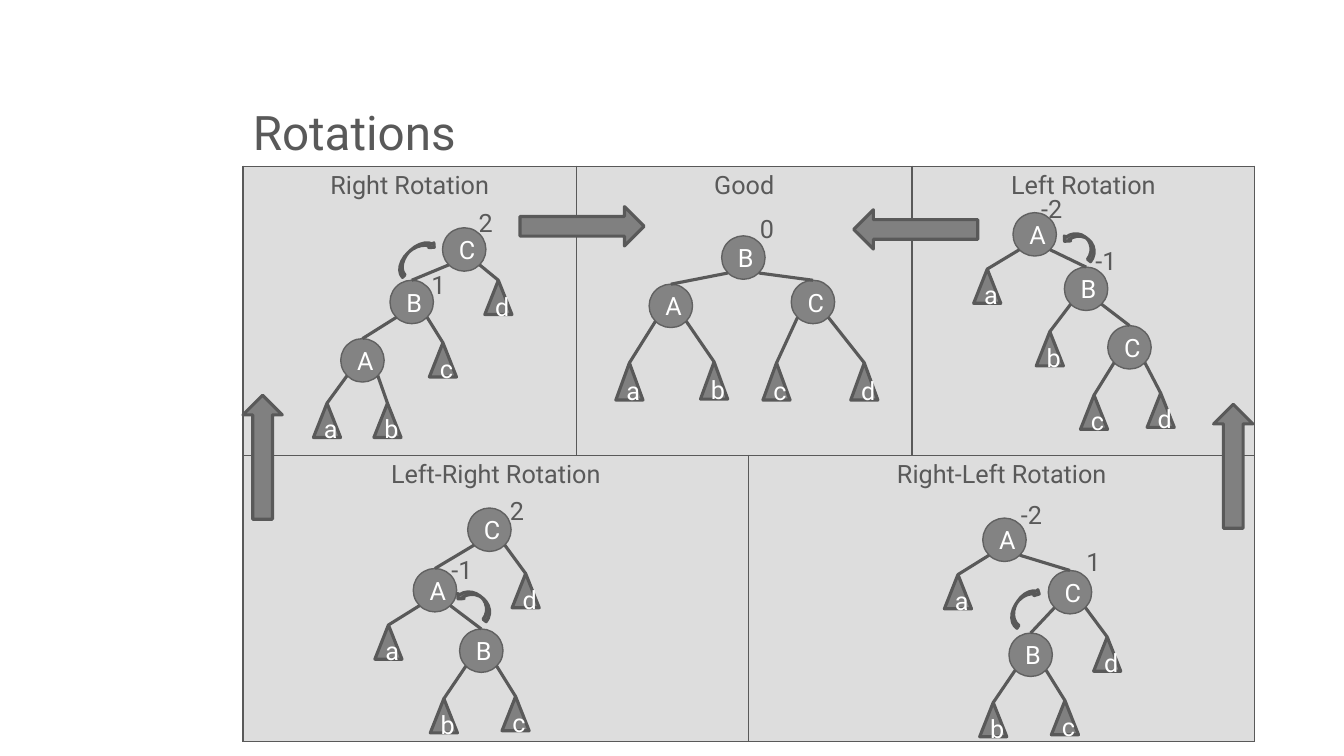
from lxml import etree
from pptx import Presentation
from pptx.dml.color import RGBColor
from pptx.enum.shapes import MSO_CONNECTOR, MSO_SHAPE
from pptx.enum.text import MSO_ANCHOR, PP_ALIGN
from pptx.oxml.ns import qn
from pptx.util import Pt

DARK = RGBColor(0x59, 0x59, 0x59)
NODE = RGBColor(0x83, 0x83, 0x83)
NODE_LINE = RGBColor(0x61, 0x61, 0x61)
GRAY = RGBColor(0x80, 0x80, 0x80)
PANEL = RGBColor(0xDD, 0xDD, 0xDD)
WHITE = RGBColor(0xFF, 0xFF, 0xFF)
NODE_D, LEAF_W = 31, 19.4
NODE_EDGE = 4.5  # inset of the lower diagonal points of a node

prs = Presentation()
prs.slide_width, prs.slide_height = Pt(960), Pt(540)
slide = prs.slides.add_slide(prs.slide_layouts[6])
shapes = slide.shapes


def write(tf, text, color=DARK, align=PP_ALIGN.LEFT, size=18):
    p = tf.paragraphs[0]
    p.alignment = align
    r = p.add_run()
    r.text = text
    r.font.name, r.font.size, r.font.color.rgb = "Roboto", Pt(size), color
    return p


def add_filled(kind, x, y, w, h, fill=GRAY, line=DARK, weight=2.25):
    s = shapes.add_shape(kind, Pt(x), Pt(y), Pt(w), Pt(h))
    s.shadow.inherit = False
    s.fill.solid()
    s.fill.fore_color.rgb = fill
    s.line.color.rgb, s.line.width = line, Pt(weight)
    return s


# Title
tf = shapes.add_textbox(Pt(173.5), Pt(23.8), Pt(738), Pt(94.3)).text_frame
tf.word_wrap = True
tf.vertical_anchor = MSO_ANCHOR.BOTTOM
write(tf, "Rotations", size=34).line_spacing = 0.9

# Table of cases
COLS, ROWS = [238.3, 123.1, 116.6, 244.8], [206.6, 204.5]
table = shapes.add_table(2, 4, Pt(173.5), Pt(118.8),
                         Pt(sum(COLS)), Pt(sum(ROWS))).table
table.first_row = table.horz_banding = False
for col, width in zip(table.columns, COLS):
    col.width = Pt(width)
for row, height in zip(table.rows, ROWS):
    row.height = Pt(height)
for r, first, last in [(0, 1, 2), (1, 0, 1), (1, 2, 3)]:
    table.cell(r, first).merge(table.cell(r, last))
for r, c, heading in [(0, 0, "Right Rotation"), (0, 1, "Good"),
                      (0, 3, "Left Rotation"), (1, 0, "Left-Right Rotation"),
                      (1, 2, "Right-Left Rotation")]:
    write(table.cell(r, c).text_frame, heading, align=PP_ALIGN.CENTER)
for cell in table.iter_cells():
    tc_pr = cell._tc.get_or_add_tcPr()
    for side in ("a:lnL", "a:lnR", "a:lnT", "a:lnB"):
        ln = etree.SubElement(tc_pr, qn(side), w=str(Pt(1)))
        solid = etree.SubElement(ln, qn("a:solidFill"))
        etree.SubElement(solid, qn("a:srgbClr"), val=str(DARK))
    cell.fill.solid()
    cell.fill.fore_color.rgb = PANEL

# Trees: leaf height, then label: (parent, left, top); lower case is a subtree
TREES = [
    (24.5, {"A": (None, 723.6, 151.9), "B": ("A", 760.3, 190.8),
            "C": ("B", 791.3, 232.6), "a": ("A", 695.5, 192.2),
            "b": ("B", 740.2, 236.9), "c": ("C", 771.8, 282.2),
            "d": ("C", 819.4, 280.8)}),
    (24.5, {"C": (None, 316.1, 162.7), "B": ("C", 278.6, 200.2),
            "A": ("B", 243.4, 241.9), "a": ("A", 223.9, 288),
            "b": ("A", 267.1, 288), "c": ("B", 306.7, 244.8),
            "d": ("C", 346.3, 200.2)}),
    (26.6, {"B": (None, 515.5, 168.5), "A": ("B", 463.7, 203),
            "C": ("B", 565.2, 200.2), "a": ("A", 439.9, 259.2),
            "b": ("A", 500.4, 258.5), "c": ("C", 545, 259.2),
            "d": ("C", 607.7, 259.2)}),
    (24.5, {"C": (None, 334.1, 362.9), "A": ("C", 295.2, 406.1),
            "B": ("A", 328.3, 449.3), "a": ("A", 267.8, 446.4),
            "b": ("B", 307.4, 499), "c": ("B", 358.6, 497.5),
            "d": ("C", 365.8, 409.7)}),
    (24.5, {"A": (None, 702, 370.1), "C": ("A", 748.8, 407.5),
            "B": ("C", 720.7, 452.2), "a": ("A", 674.6, 410.4),
            "b": ("B", 699.8, 501.8), "c": ("B", 751, 500.4),
            "d": ("C", 781.2, 455)}),
]
for leaf_h, tree in TREES:
    for label, (parent, x, y) in tree.items():
        if label.isupper():
            width = NODE_D
            s = add_filled(MSO_SHAPE.OVAL, x, y, NODE_D, NODE_D,
                           NODE, NODE_LINE, 1)
        else:
            width = LEAF_W
            s = add_filled(MSO_SHAPE.ISOSCELES_TRIANGLE, x, y, LEAF_W, leaf_h)
        s.text_frame.vertical_anchor = MSO_ANCHOR.MIDDLE
        write(s.text_frame, label, WHITE, PP_ALIGN.CENTER)
        if parent is None:
            continue
        # Edge from the parent's lower side to the top of the child
        _, px, py = tree[parent]
        top_x = x + width / 2
        goes_left = top_x < px + NODE_D / 2
        start_x = px + (NODE_EDGE if goes_left else NODE_D - NODE_EDGE)
        edge = shapes.add_connector(
            MSO_CONNECTOR.STRAIGHT, Pt(start_x), Pt(py + NODE_D - NODE_EDGE),
            Pt(top_x), Pt(y))
        edge.line.color.rgb, edge.line.width = DARK, Pt(2.25)
        etree.SubElement(edge.element.spPr, qn("a:effectLst"))

# Curved arrows for the turn inside each tree
for x, y, w, h, angle, flipped in [(758.9, 168.5, 26.6, 11.5, 38.2, True),
                                   (715, 427.7, 31.7, 10.1, 303, False),
                                   (325.4, 424.8, 28.8, 11.5, 39.1, True),
                                   (279.4, 177.8, 33.8, 10.1, 316.5, False)]:
    s = add_filled(MSO_SHAPE.CURVED_DOWN_ARROW, x, y, w, h)
    s.rotation = angle
    if flipped:
        s.element.spPr.find(qn("a:xfrm")).set("flipH", "1")

# Block arrows between the cases
for x, y, angle in [(143.3, 312.5, 270), (836.6, 319, 270),
                    (371.5, 147.6, 0), (609.8, 149.8, 180)]:
    add_filled(MSO_SHAPE.RIGHT_ARROW, x, y, 88.6, 28.1).rotation = angle

# Balance factors
for text, x, y in [("2", 334.8, 144.7), ("2", 357.1, 349.9),
                   ("-2", 722.2, 352.8), ("-2", 736.6, 134.6),
                   ("1", 301, 188.6), ("1", 769, 386.6),
                   ("-1", 315.4, 392.4), ("-1", 775.4, 171.4),
                   ("0", 535.7, 149)]:
    tf = shapes.add_textbox(Pt(x), Pt(y), Pt(36), Pt(29)).text_frame
    tf.word_wrap = True
    write(tf, text)

prs.save("out.pptx")
